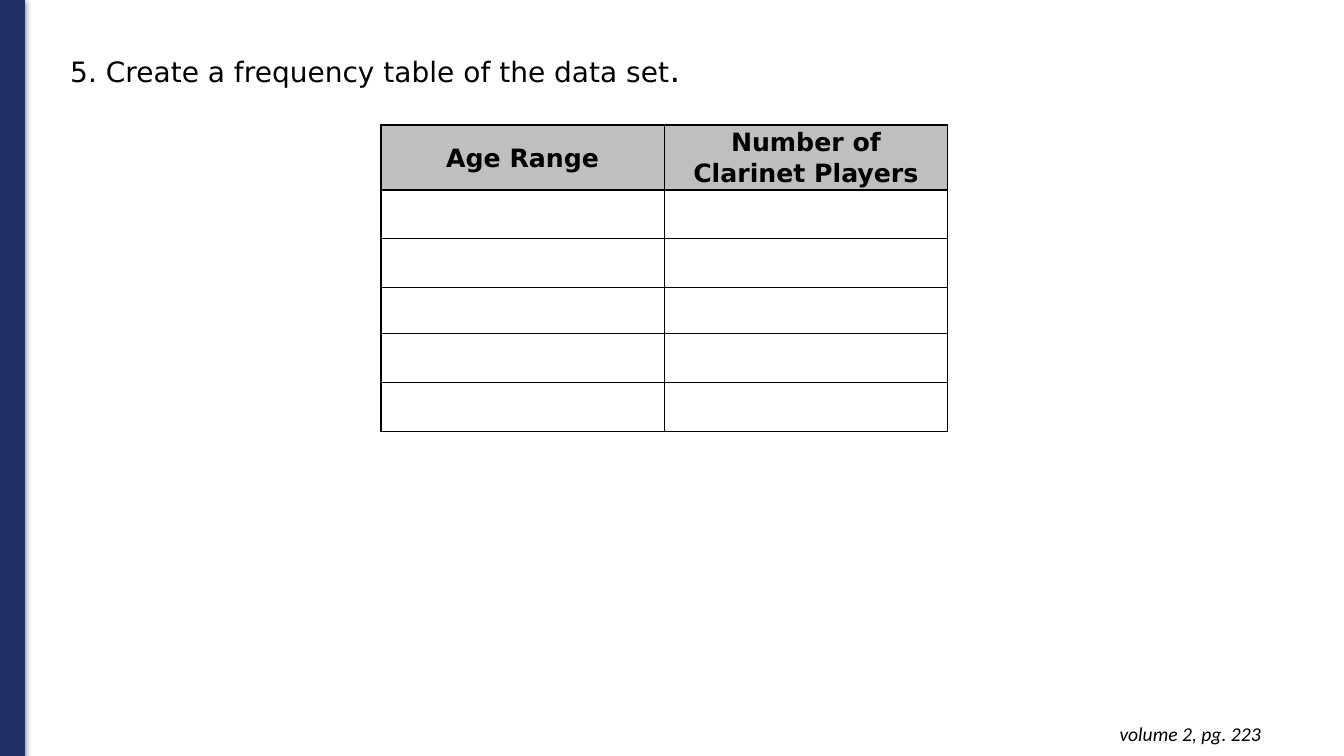
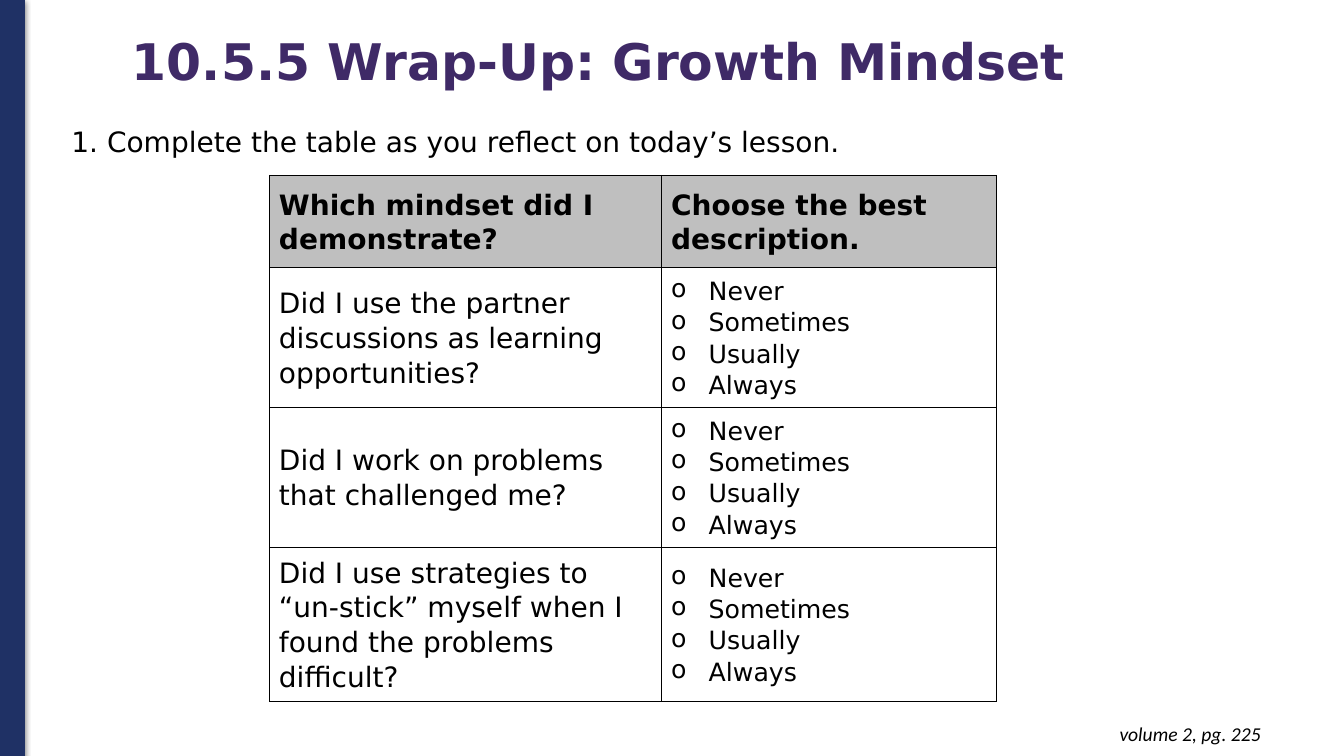
from lxml import etree
from pptx import Presentation
from pptx import oxml
from pptx.dml.color import RGBColor
from pptx.enum import shapes, text
from pptx.oxml import ns
from pptx.util import Cm, Pt

HUES = {"band": "1F3165", "title": "3F2A67", "ink": "000000", "head": "BFBFBF"}
FONT, FOOT = "DejaVu Sans", "Calibri"
LEFT, MID, RIGHT = text.PP_ALIGN.LEFT, text.PP_ALIGN.CENTER, text.PP_ALIGN.RIGHT

RATES = ["Never", "Sometimes", "Usually", "Always"]
ASKS = [
    "Did I use the partner discussions as learning opportunities?",
    "Did I work on problems that challenged me?",
    "Did I use strategies to “un-stick” myself when I found the problems difficult?",
]

# Lengths are in centimetres
PAGES = [
    {
        "ask": (["5. Create a frequency table of the data set", "."], [20, 24]),
        "box": (1.52, 1.04, 22.91, 2.36),
        "space": 1.07,
        "foot": "volume 2, pg. 223",
        "table": {
            "at": (9.6, 3.15),
            "cols": [7.14, 7.14],
            "rows": [1.64, 1.23, 1.23, 1.16, 1.23, 1.23],
            "cells": [["Age Range", "Number of Clarinet Players"]] + [["", ""]] * 5,
            "size": 18, "align": MID, "pad": (0.18, 0),
        },
    },
    {
        "title": "10.5.5 Wrap-Up: Growth Mindset",
        "ask": (["1. Complete the table as you reflect on today’s lesson."], [20]),
        "box": (1.55, 3.02, 23.14, 1.12),
        "space": 1.0,
        "foot": "volume 2, pg. 225",
        "table": {
            "at": (6.8, 4.42),
            "cols": [9.88, 8.43],
            "rows": [2.33, 3.51, 3.51, 3.87],
            "cells": [["Which mindset did I demonstrate?", "Choose the best description."]]
            + [[ask, RATES] for ask in ASKS],
            "size": 20, "align": LEFT, "pad": (0.23, 0.13),
        },
    },
]


def tint(hue):
    return RGBColor.from_string(HUES[hue])


def style(run, size, hue="ink", name=FONT, bold=False, slant=False):
    font = run.font
    font.name, font.size, font.bold, font.italic = name, Pt(size), bold, slant
    font.color.rgb = tint(hue)


def add_band(slide):
    band = slide.shapes.add_shape(shapes.MSO_SHAPE.RECTANGLE, 0, 0, Cm(0.61), Cm(19.07))
    band.fill.solid()
    band.fill.fore_color.rgb = band.line.color.rgb = tint("band")
    band.line.width = Pt(0.75)
    band._element.spPr.append(oxml.parse_xml(
        f'<a:effectLst {ns.nsdecls("a")}>'
        f'<a:outerShdw blurRad="{Pt(4.5)}" dist="{Pt(1.5)}" dir="5400000" rotWithShape="0">'
        f'<a:srgbClr val="{HUES["ink"]}"><a:alpha val="50000"/></a:srgbClr>'
        '</a:outerShdw></a:effectLst>'))


def add_title(slide, words):
    title = slide.shapes.title
    title.left, title.top, title.width, title.height = map(Cm, (3.07, 0.79, 27.86, 1.65))
    frame = title.text_frame
    frame.text = words
    frame.auto_size = text.MSO_AUTO_SIZE.NONE
    frame.vertical_anchor = text.MSO_ANCHOR.MIDDLE
    para = frame.paragraphs[0]
    para.alignment, para.line_spacing = LEFT, 0.9
    style(para.runs[0], 36, "title", bold=True)


def add_text(slide, box):
    frame = slide.shapes.add_textbox(*map(Cm, box)).text_frame
    frame.word_wrap = True
    return frame


def add_ask(slide, page):
    para = add_text(slide, page["box"]).paragraphs[0]
    para.line_spacing = page["space"]
    for words, size in zip(*page["ask"]):
        run = para.add_run()
        run.text = words
        style(run, size)


def add_foot(slide, words):
    frame = add_text(slide, (24.71, 17.93, 7.32, 1.12))
    frame.margin_top = frame.margin_bottom = Cm(0.25)
    frame.text = words
    para = frame.paragraphs[0]
    para.alignment = RIGHT
    style(para.runs[0], 14, name=FOOT, slant=True)


def add_edges(cell):
    """Draw a thin line on all four sides of a cell."""
    props = cell._tc.get_or_add_tcPr()
    for side in ("lnL", "lnR", "lnT", "lnB"):
        line = etree.SubElement(props, ns.qn("a:" + side), w=str(Pt(1)))
        fill = etree.SubElement(line, ns.qn("a:solidFill"))
        etree.SubElement(fill, ns.qn("a:srgbClr"), val=HUES["ink"])


def add_bullet(para):
    props = para._p.get_or_add_pPr()
    props.set("marL", str(Cm(0.95)))
    props.set("indent", str(-Cm(0.95)))
    tone = etree.SubElement(props, ns.qn("a:buClr"))
    etree.SubElement(tone, ns.qn("a:srgbClr"), val=HUES["ink"])
    etree.SubElement(props, ns.qn("a:buChar"), char="o")


def fill_cell(cell, words, plan, head):
    add_edges(cell)
    if head:
        cell.fill.solid()
        cell.fill.fore_color.rgb = tint("head")
    else:
        cell.fill.background()
    side, edge = map(Cm, plan["pad"])
    cell.margin_left = cell.margin_right = side
    cell.margin_top = cell.margin_bottom = edge
    cell.vertical_anchor = text.MSO_ANCHOR.MIDDLE
    choice = isinstance(words, list)
    cell.text_frame.text = "\n".join(words) if choice else words
    for para in cell.text_frame.paragraphs:
        para.alignment, para.line_spacing = plan["align"], 1.07
        if choice:
            add_bullet(para)
        for run in para.runs:
            style(run, 18 if choice else plan["size"], bold=head)


def add_grid(slide, plan):
    cols, rows = plan["cols"], plan["rows"]
    size = (*plan["at"], sum(cols), sum(rows))
    table = slide.shapes.add_table(len(rows), len(cols), *map(Cm, size)).table
    table.first_row = table.horz_banding = False
    for col, width in zip(table.columns, cols):
        col.width = Cm(width)
    for r, (row, height) in enumerate(zip(table.rows, rows)):
        row.height = Cm(height)
        for cell, words in zip(row.cells, plan["cells"][r]):
            fill_cell(cell, words, plan, r == 0)


def main():
    deck = Presentation()
    deck.slide_width, deck.slide_height = Cm(33.87), Cm(19.05)
    for page in PAGES:
        titled = "title" in page
        slide = deck.slides.add_slide(deck.slide_layouts[5 if titled else 6])
        add_band(slide)
        if titled:
            add_title(slide, page["title"])
        add_ask(slide, page)
        add_grid(slide, page["table"])
        add_foot(slide, page["foot"])
    deck.save("out.pptx")


if __name__ == "__main__":
    main()
